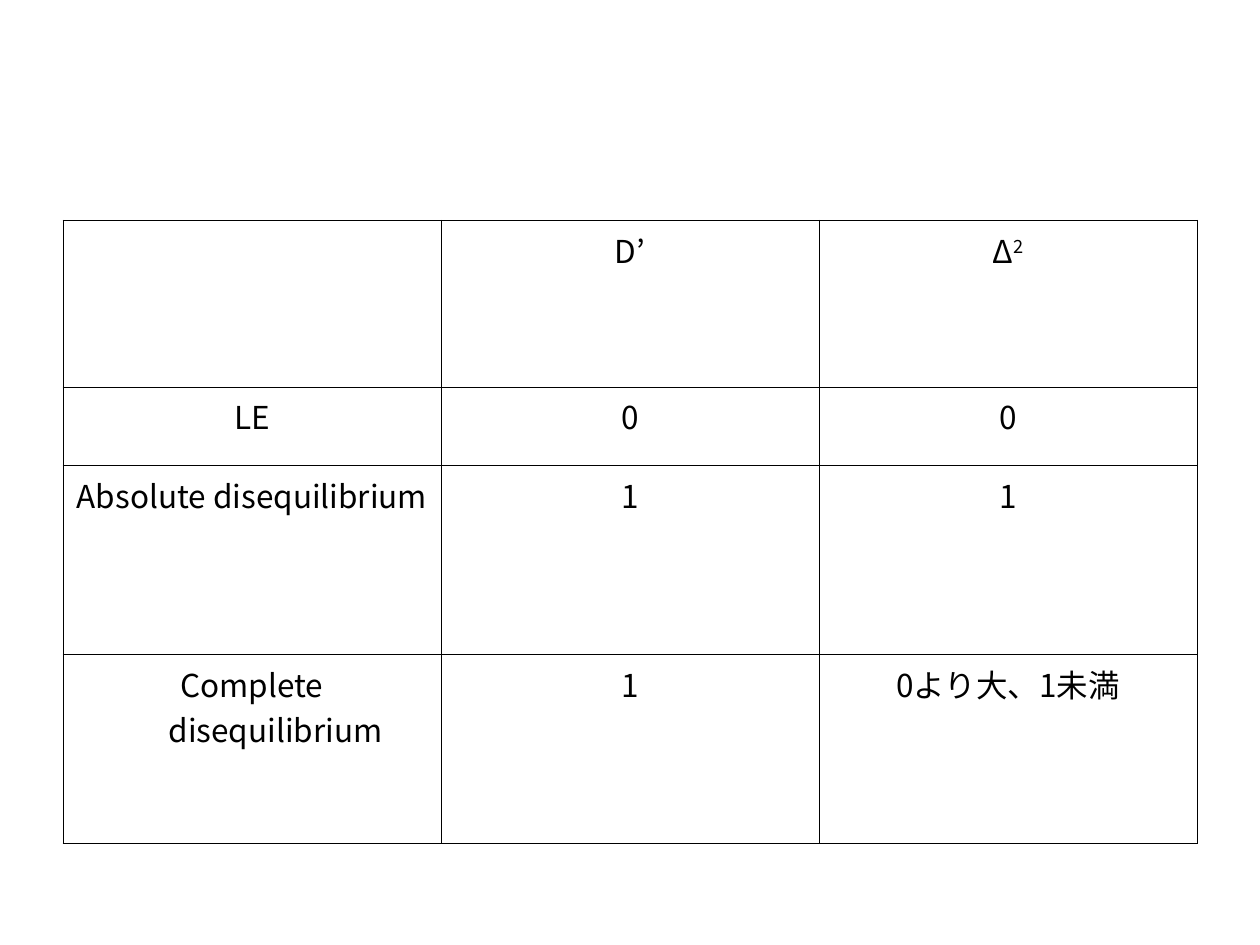
from lxml.etree import SubElement
from pptx import Presentation
from pptx.dml.color import RGBColor
from pptx.enum.text import PP_ALIGN
from pptx.oxml.ns import qn
from pptx.util import Cm, Pt

FONT = "Noto Sans CJK JP"
BLACK = "000000"
COL_WIDTH = 7.62
ROW_HEIGHTS = [3.36, 1.58, 3.81, 3.81]
ROWS = [
    [[], ["D’"], ["Δ", "2"]],
    [["LE"], ["0"], ["0"]],
    [["Absolute disequilibrium"], ["1"], ["1"]],
    [["Complete disequilibrium"], ["1"], ["0より大、1未満"]],
]


def color(value):
    return RGBColor.from_string(value)


def add_run(p, text, superscript=False):
    r = p.add_run()
    r.text = text
    r.font.size = Pt(18)
    r.font.name = FONT
    r.font.color.rgb = color(BLACK)
    rPr = r._r.get_or_add_rPr()
    SubElement(rPr, qn("a:ea"), typeface=FONT)
    if superscript:
        rPr.set("baseline", "30000")


def add_borders(cell):
    tcPr = cell._tc.get_or_add_tcPr()
    for i, side in enumerate(("lnL", "lnR", "lnT", "lnB")):
        ln = SubElement(tcPr, qn(f"a:{side}"), w=str(Pt(0.45)))
        fill = SubElement(ln, qn("a:solidFill"))
        SubElement(fill, qn("a:srgbClr"), val=BLACK)
        tcPr.insert(i, ln)


def format_cell(cell, texts):
    cell.fill.background()
    add_borders(cell)
    p = cell.text_frame.paragraphs[0]
    p.alignment = PP_ALIGN.CENTER
    pPr = p._p.get_or_add_pPr()
    pPr.set("marL", str(Cm(0.95)))
    pPr.set("indent", str(Cm(-0.95)))
    for i, text in enumerate(texts):
        add_run(p, text, superscript=i > 0)


def add_comparison_table(s):
    frame = s.shapes.add_table(
        len(ROWS), len(ROWS[0]), Cm(1.27), Cm(4.44),
        Cm(COL_WIDTH * len(ROWS[0])), Cm(sum(ROW_HEIGHTS)))
    table = frame.table
    table.first_row = False
    table.horz_banding = False
    for col in table.columns:
        col.width = Cm(COL_WIDTH)
    for row, height, contents in zip(table.rows, ROW_HEIGHTS, ROWS):
        row.height = Cm(height)
        for cell, texts in zip(row.cells, contents):
            format_cell(cell, texts)


def main():
    prs = Presentation()
    prs.slide_width = Cm(25.4)
    prs.slide_height = Cm(19.05)
    s = prs.slides.add_slide(prs.slide_layouts[6])
    add_comparison_table(s)
    prs.save("out.pptx")


if __name__ == "__main__":
    main()
